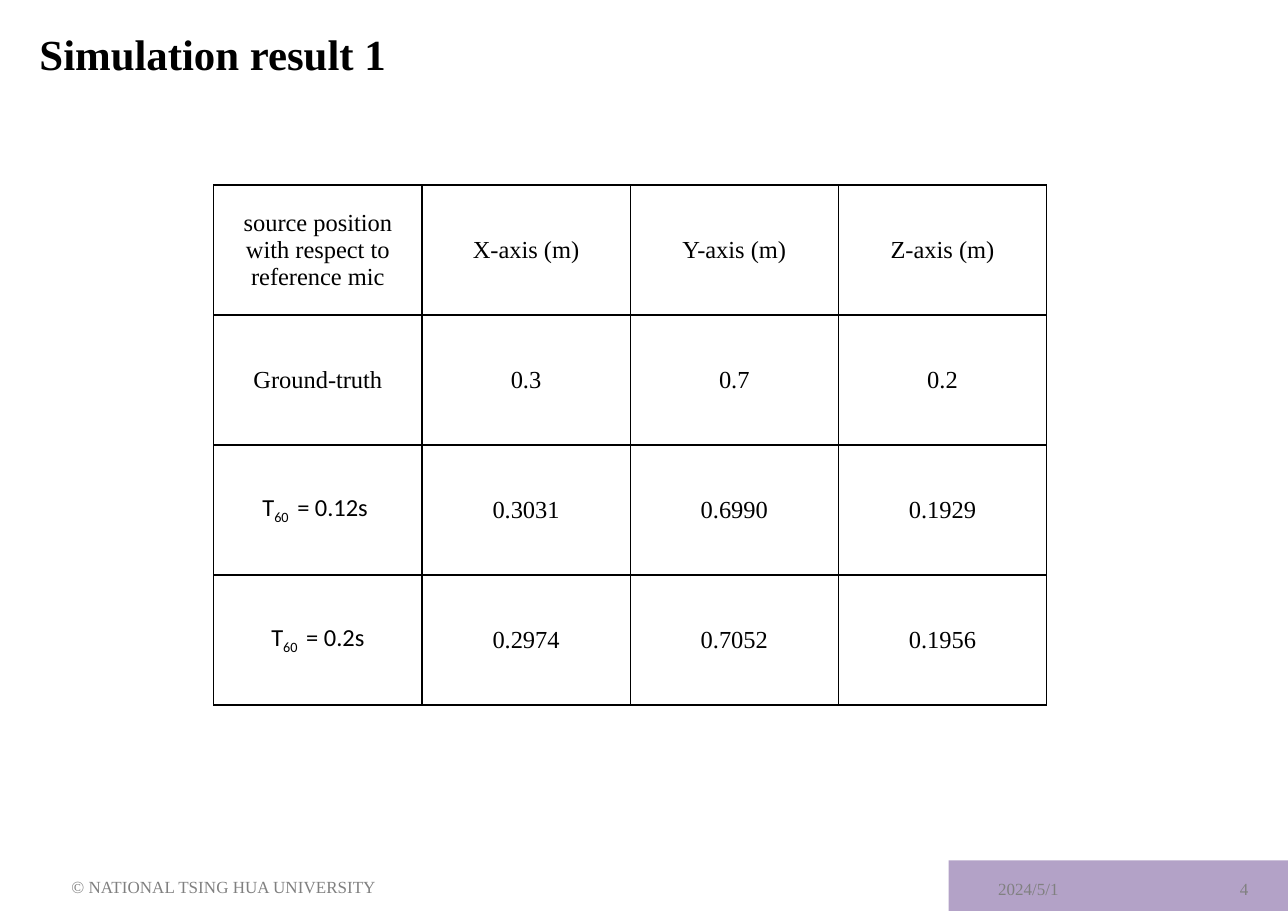
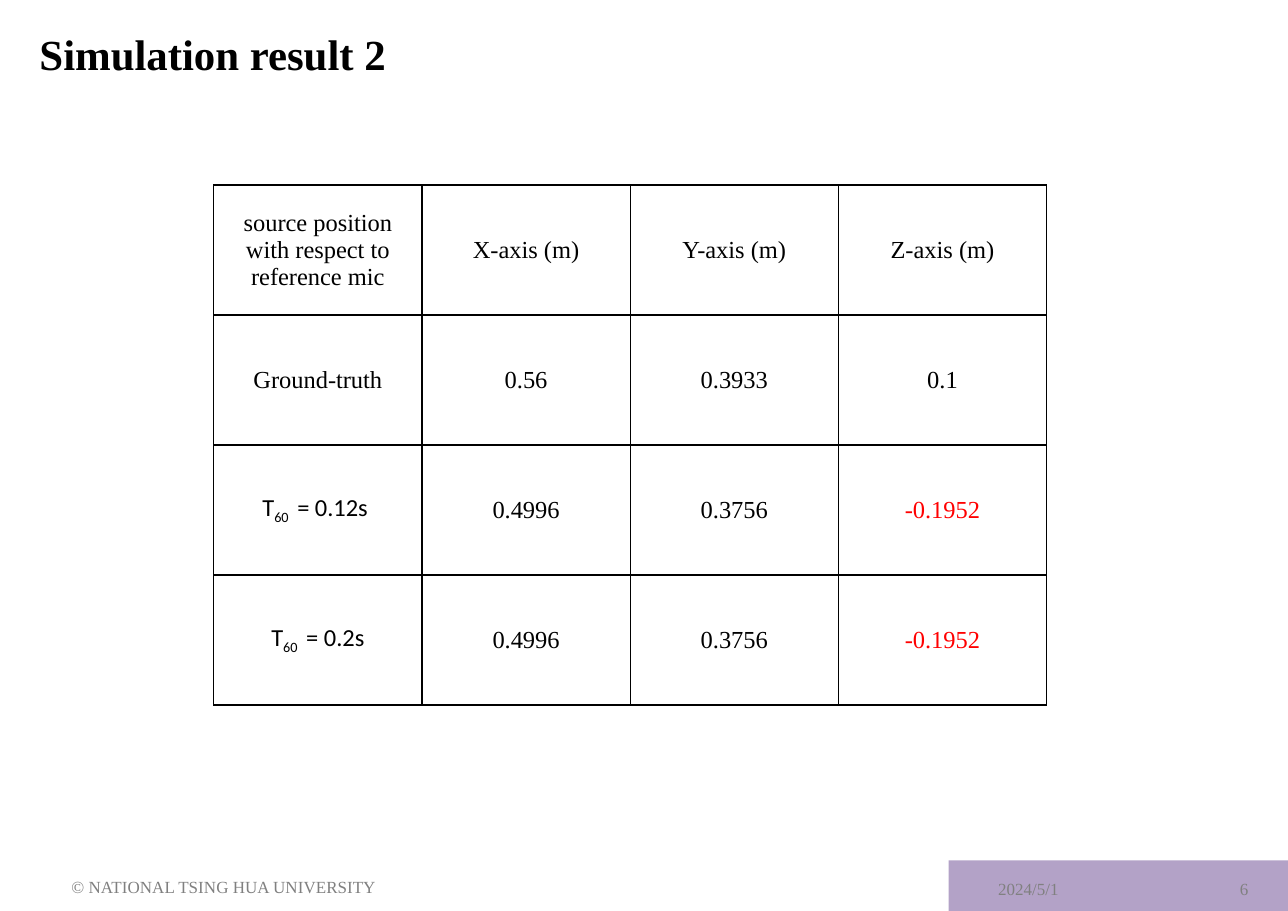
from pptx import Presentation
from pptx.dml.color import RGBColor
from pptx.enum.shapes import MSO_SHAPE
from pptx.enum.text import MSO_ANCHOR, PP_ALIGN
from pptx.oxml import parse_xml
from pptx.oxml.ns import nsdecls
from pptx.util import Inches, Pt

RECT = MSO_SHAPE.RECTANGLE
MIDDLE = MSO_ANCHOR.MIDDLE
LEFT, CENTER, RIGHT = PP_ALIGN.LEFT, PP_ALIGN.CENTER, PP_ALIGN.RIGHT
SERIF, SANS = "Times New Roman", "Calibri"
BLACK, WHITE, GRAY, RED, LILAC = "000000", "FFFFFF", "808080", "FF0000", "B3A2C7"
HEAD = ["source position\nwith respect to\nreference mic",
        "X-axis (m)", "Y-axis (m)", "Z-axis (m)"]
LABELS = ["Ground-truth", "T_60 _ = 0.12s ", "T_60 _ = 0.2s"]
RESULTS = [
    ("Simulation result 1", "4", [["0.3", "0.7", "0.2"],
                                  ["0.3031", "0.6990", "0.1929"],
                                  ["0.2974", "0.7052", "0.1956"]]),
    ("Simulation result 2", "6", [["0.56", "0.3933", "0.1"],
                                  ["0.4996", "0.3756", "-0.1952"],
                                  ["0.4996", "0.3756", "-0.1952"]]),
]


def paint(target, color):
    """Fill a shape or cell with one solid colour."""
    target.fill.solid()
    target.fill.fore_color.rgb = RGBColor.from_string(color)


def write(frame, text, size=16, font=SERIF, color=BLACK, bold=False,
          align=LEFT, line=None):
    """Write lines of text, with subscripts between underscores."""
    frame.word_wrap = True
    for row, words in enumerate(text.split("\n")):
        para = frame.add_paragraph() if row else frame.paragraphs[0]
        para.alignment = align
        if line:
            para.line_spacing = Pt(line)
        for part, piece in enumerate(words.split("_")):
            run = para.add_run()
            run.text = piece
            run.font.size = Pt(size)
            run.font.name = font
            run.font.bold = bold
            run.font.color.rgb = RGBColor.from_string(color)
            if part % 2:
                run.font._element.set("baseline", "-25000")


def add_text(slide, text, left, top, width, height, **style):
    """Add a text box that is centred vertically."""
    box = slide.shapes.add_textbox(
        Inches(left), Inches(top), Inches(width), Inches(height))
    box.text_frame.vertical_anchor = MIDDLE
    write(box.text_frame, text, **style)


def add_frame(slide, title, number):
    """Add the band, title and footer that all slides share."""
    band = slide.shapes.add_shape(
        RECT, Inches(8.61), Inches(7.81), Inches(3.08), Inches(0.46))
    band.shadow.inherit = False
    paint(band, LILAC)
    band.line.fill.background()
    add_text(slide, title, 0.26, 0.12, 10.18, 0.69, size=28, bold=True, line=36.9)
    foot = {"size": 11.1, "color": GRAY}
    add_text(slide, "2024/5/1", 8.96, 7.87, 1.38, 0.39, **foot)
    add_text(slide, "© NATIONAL TSING HUA UNIVERSITY", 0.55, 7.85, 3.19, 0.39, **foot)
    add_text(slide, number, 10.52, 7.87, 0.91, 0.39, align=RIGHT, **foot)


def add_rules(cell):
    """Draw a thin black line on each side of a cell."""
    props = cell._tc.get_or_add_tcPr()
    for side in ("lnL", "lnR", "lnT", "lnB"):
        props.append(parse_xml(
            f'<a:{side} {nsdecls("a")} w="{Pt(1)}"><a:solidFill>'
            f'<a:srgbClr val="{BLACK}"/></a:solidFill></a:{side}>'))


def add_grid(slide, rows):
    """Add a ruled table with equal columns and rows."""
    table = slide.shapes.add_table(
        len(rows), len(rows[0]), Inches(1.94), Inches(1.68),
        Inches(1.89 * len(rows[0])), Inches(1.18 * len(rows))).table
    table.first_row = table.horz_banding = False
    for r, row in enumerate(rows):
        for c, text in enumerate(row):
            cell = table.cell(r, c)
            add_rules(cell)
            paint(cell, WHITE)
            cell.vertical_anchor = MIDDLE
            write(cell.text_frame, text, align=CENTER,
                  font=SANS if "_" in text else SERIF,
                  color=RED if text.startswith("-") else BLACK)


def main():
    """Build one slide for each simulation result."""
    deck = Presentation()
    deck.slide_width, deck.slide_height = Inches(11.69), Inches(8.27)
    for title, number, values in RESULTS:
        slide = deck.slides.add_slide(deck.slide_layouts[6])
        add_frame(slide, title, number)
        add_grid(slide, [HEAD] + [[name] + row for name, row in zip(LABELS, values)])
    deck.save("out.pptx")


if __name__ == "__main__":
    main()
